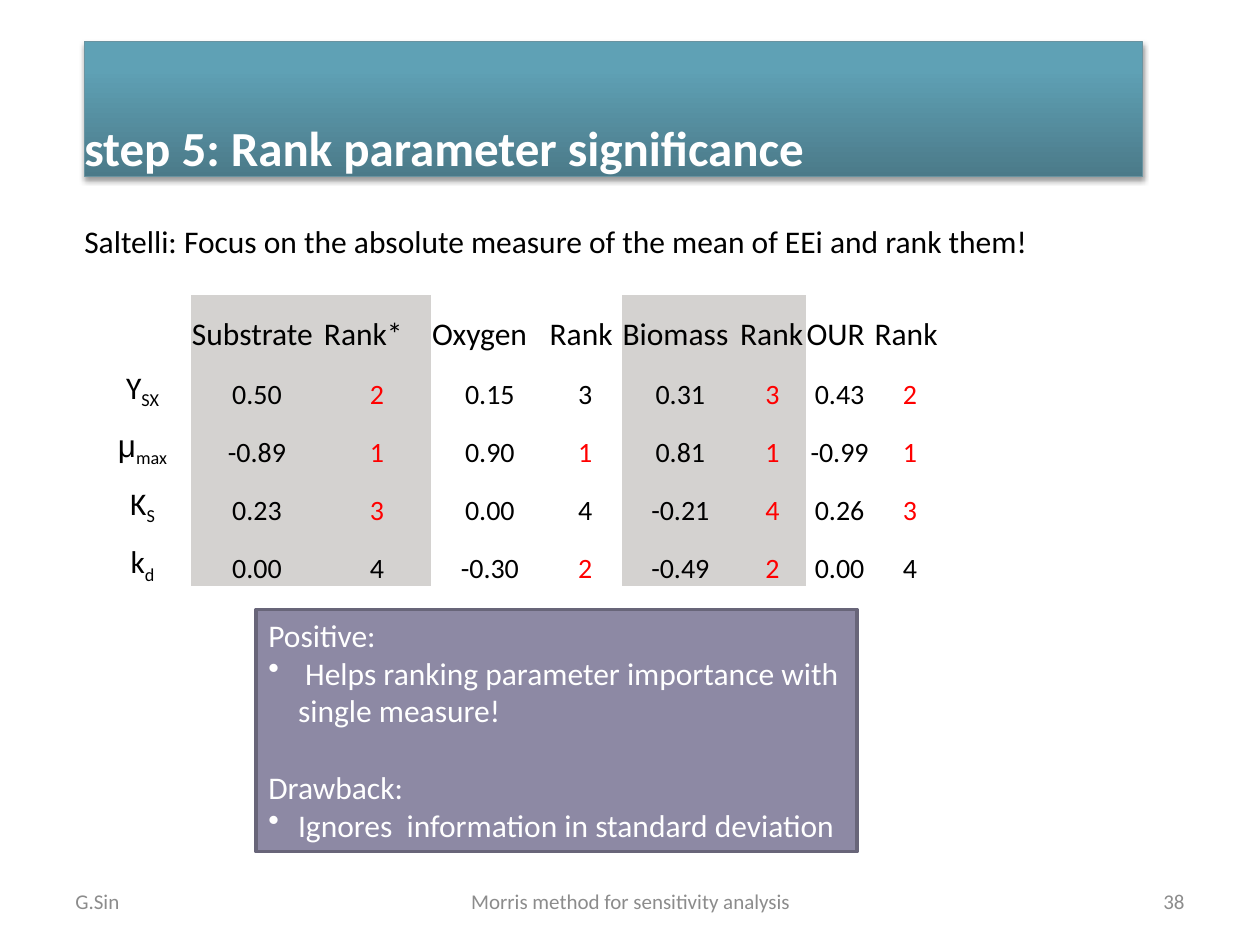
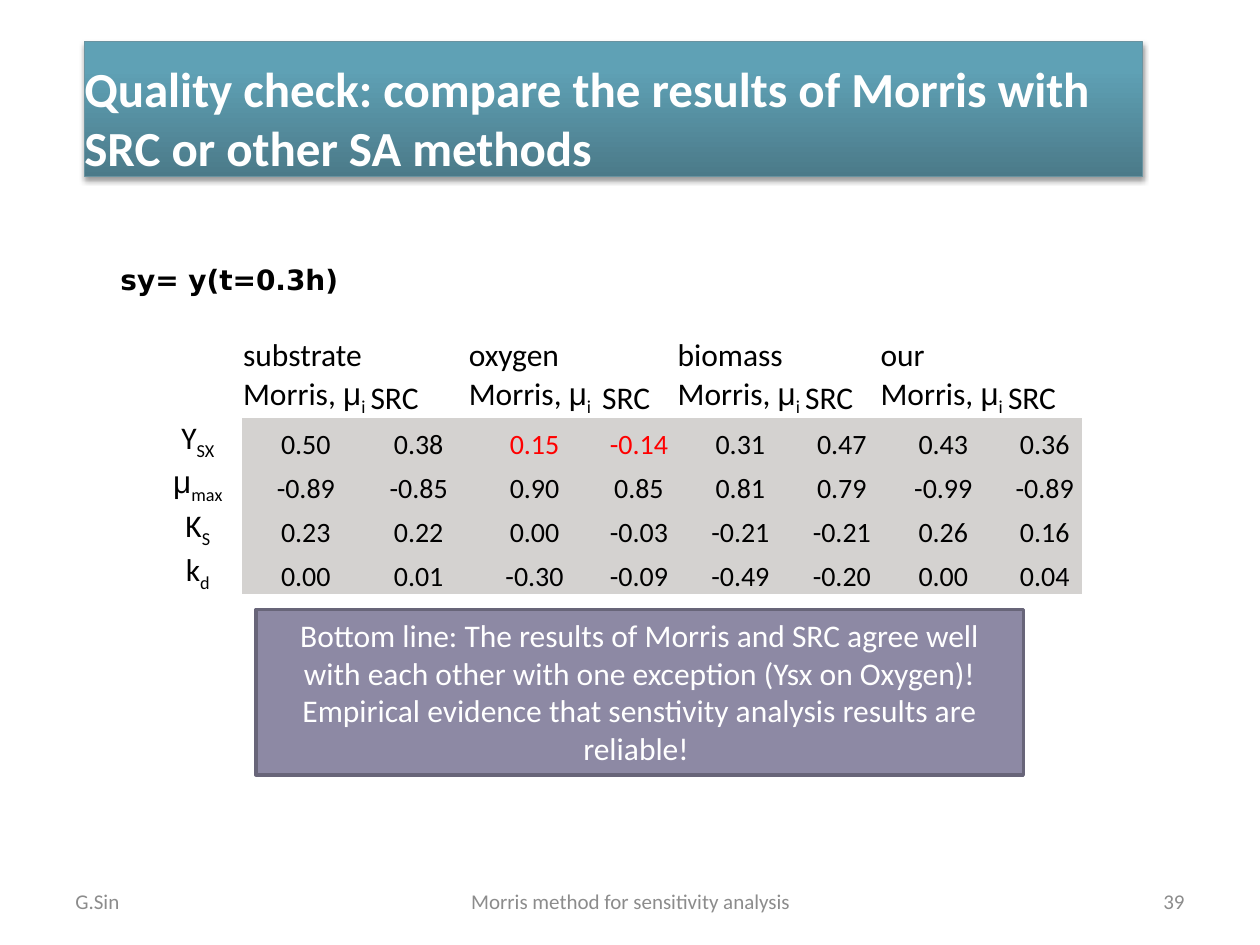
from lxml.etree import SubElement as Sub
from pptx import Presentation
from pptx.dml.color import RGBColor as RGB
from pptx.enum.shapes import MSO_SHAPE as Form
from pptx.enum.text import MSO_ANCHOR as Anchor, PP_ALIGN as Align
from pptx.oxml.ns import qn
from pptx.util import Cm, Pt

WHITE = RGB(0xFF, 0xFF, 0xFF)
BLACK = RGB(0, 0, 0)
RED = RGB(0xFF, 0, 0)
GREY = RGB(0xD4, 0xD2, 0xD0)
FAINT = RGB(0x8C, 0x8C, 0x8C)
TEAL = RGB(0x5F, 0xA1, 0xB5)
DEEP = RGB(0x4B, 0x7A, 0x89)
EDGE = RGB(0x6A, 0x93, 0xA0)
MAUVE = RGB(0x8D, 0x89, 0xA4)
PLUM = RGB(0x68, 0x65, 0x79)
FONT = "Calibri"
GREEK = "Arial"
MONO = "DejaVu Sans"
PLAIN = "{2D5ABB26-0587-4C30-8999-92F81FD0307C}"
LABELS = ["Y_SX ", "μ_max ", "K_S ", "k_d "]

RANKS = [
    ["", "Substrate", "Rank*", "Oxygen", "Rank", "Biomass", "Rank", "OUR", "Rank"],
    ["0.50", "2!", "0.15", "3", "0.31", "3!", "0.43", "2!"],
    ["-0.89", "1!", "0.90", "1!", "0.81", "1!", "-0.99", "1!"],
    ["0.23", "3!", "0.00", "4", "-0.21", "4!", "0.26", "3!"],
    ["0.00", "4", "-0.30", "2!", "-0.49", "2!", "0.00", "4"],
]
CHECKS = [
    ["", "substrate", "", "oxygen", "", "biomass", "", "our", ""],
    [""] + ["Morris, μ_i", "SRC"] * 4,
    ["0.50", "0.38", "0.15!", "-0.14!", "0.31", "0.47", "0.43", "0.36"],
    ["-0.89", "-0.85", "0.90", "0.85", "0.81", "0.79", "-0.99", "-0.89"],
    ["0.23", "0.22", "0.00", "-0.03", "-0.21", "-0.21", "0.26", "0.16"],
    ["0.00", "0.01", "-0.30", "-0.09", "-0.49", "-0.20", "0.00", "0.04"],
]


def style(para, size, color, align=Align.LEFT, bold=False, face=FONT):
    font = para.font
    font.size, font.bold, font.name = Pt(size), bold, face
    font.color.rgb = color
    para.alignment = align


def inset(item, left, top, right, base):
    item.margin_left, item.margin_top = Cm(left), Cm(top)
    item.margin_right, item.margin_bottom = Cm(right), Cm(base)


def add_text(slide, box, text, size, color, align=Align.LEFT, anchor=Anchor.TOP,
             bold=False, face=FONT, wrap=True):
    frame = slide.shapes.add_textbox(*map(Cm, box)).text_frame
    frame.word_wrap, frame.vertical_anchor = wrap, anchor
    para = frame.paragraphs[0]
    para.text = text
    style(para, size, color, align, bold, face)
    return frame


def add_rect(slide, box, line, width):
    rect = slide.shapes.add_shape(Form.RECTANGLE, *map(Cm, box))
    rect.shadow.inherit = False
    rect.line.color.rgb, rect.line.width = line, Pt(width)
    rect.text_frame.word_wrap = True
    return rect


def add_title(slide, text):
    band = add_rect(slide, (1.7, 0.84, 21.34, 2.72), EDGE, 0.75)
    band.fill.gradient()
    band.fill.gradient_angle = 270
    for stop, color, place in zip(band.fill.gradient_stops, (TEAL, DEEP), (0.2, 1)):
        stop.color.rgb, stop.position = color, place
    glow = band._element.spPr.find(qn("a:effectLst"))
    shade = Sub(glow, qn("a:outerShdw"), blurRad="40000", dist="23000",
                dir="5400000", rotWithShape="0")
    tint = Sub(shade, qn("a:srgbClr"), val="000000")
    Sub(tint, qn("a:alpha"), val="40000")
    frame = band.text_frame
    inset(frame, 0, 0, 0, 0)
    frame.vertical_anchor = Anchor.BOTTOM
    frame.text = text
    style(frame.paragraphs[0], 28, WHITE, bold=True)


def add_foot(slide, page):
    for left, width, text, align in (
        (1.27, 5.92, "G.Sin", Align.LEFT),
        (8.69, 8.05, "Morris method for sensitivity analysis", Align.CENTER),
        (18.21, 5.92, str(page), Align.RIGHT),
    ):
        add_text(slide, (left, 17.65, width, 1.02), text, 12, FAINT, align,
                 Anchor.MIDDLE)


def add_runs(para, text):
    head, _, low = text.partition("_")
    lead, greek, _ = head.partition("μ")
    for part, face in ((lead, None), (greek, GREEK), (low, None)):
        if part:
            run = para.add_run()
            run.text = part
            if face:
                run.font.name = face
            if part is low:
                run._r.get_or_add_rPr().set("baseline", "-25000")


def add_grid(slide, spot, rows, heads, widths, heights, shaded):
    rows = rows[:heads] + [[name] + row for name, row in zip(LABELS, rows[heads:])]
    size = map(Cm, (*spot, sum(widths), sum(heights)))
    table = slide.shapes.add_table(len(rows), len(widths), *size).table
    table.first_row = table.horz_banding = False
    table._tbl.tblPr[0].text = PLAIN
    for col, width in zip(table.columns, widths):
        col.width = Cm(width)
    for line, height in zip(table.rows, heights):
        line.height = Cm(height)
    for r, row in enumerate(rows):
        for c, text in enumerate(row):
            cell = table.cell(r, c)
            inset(cell, 0.02, 0.02, 0.02, 0)
            cell.vertical_anchor = Anchor.BOTTOM
            cell.fill.solid()
            cell.fill.fore_color.rgb = GREY if shaded(r, c) else WHITE
            para = cell.text_frame.paragraphs[0]
            add_runs(para, text.rstrip("!"))
            style(para, 16 if r >= heads and c else 18,
                  RED if text.endswith("!") else BLACK,
                  Align.LEFT if r < heads else Align.CENTER)
    return table


def add_note(slide, width, height, lines, align=Align.LEFT):
    note = add_rect(slide, (5.16, 12.29, width, height), PLUM, 2)
    note.fill.solid()
    note.fill.fore_color.rgb = MAUVE
    frame = note.text_frame
    frame.vertical_anchor = Anchor.TOP
    for i, (text, dot, gap) in enumerate(lines):
        para = frame.add_paragraph() if i else frame.paragraphs[0]
        para.text = text
        style(para, 18, WHITE, align)
        para.space_before = Pt(gap)
        if dot:
            props = para._p.get_or_add_pPr()
            props.set("marL", str(Cm(0.6)))
            props.set("indent", str(-Cm(0.6)))
            mark = props.makeelement(qn("a:buChar"), {"char": "•"})
            props.find(qn("a:defRPr")).addprevious(mark)


def add_page(deck, title, page):
    slide = deck.slides.add_slide(deck.slide_layouts[6])
    add_title(slide, title)
    add_foot(slide, page)
    return slide


def rank_page(deck):
    slide = add_page(deck, "step 5: Rank parameter significance", 38)
    frame = add_text(
        slide, (1.7, 4.48, 21.59, 0.9),
        "Saltelli: Focus on the absolute measure of the mean of EEi and rank them!",
        18, BLACK)
    inset(frame, 0, 0, 0, 0)
    add_grid(slide, (1.98, 5.94), RANKS, 1,
             [1.87, 2.66, 2.18, 2.37, 1.47, 2.37, 1.34, 1.37, 1.47],
             [1.19] + [1.17] * 4, lambda r, c: c in (1, 2, 5, 6))
    add_note(slide, 12.12, 4.88, [
        ("Positive:", False, 0),
        (" Helps ranking parameter importance with single measure!", True, 0),
        ("Drawback:", False, 22),
        ("Ignores  information in standard deviation", True, 0),
    ])


def check_page(deck):
    slide = add_page(
        deck, "Quality check: compare the results of Morris with SRC or other SA methods",
        39)
    table = add_grid(slide, (3.18, 6.76), CHECKS, 2,
                     [1.7, 2.57, 1.98, 2.69, 1.52] + [2.57, 1.52] * 2,
                     [0.69] * 2 + [0.74] * 4, lambda r, c: r > 1 and c > 0)
    for c in range(1, 9, 2):
        table.cell(0, c).merge(table.cell(0, c + 1))
    add_text(slide, (2.18, 5.16, 5.28, 0.94), "sy= y(t=0.3h)", 16, BLACK,
             bold=True, face=MONO, wrap=False)
    add_note(slide, 15.47, 3.33, [(
        "Bottom line: The results of Morris and SRC agree well with each other "
        "with one exception (Ysx on Oxygen)! Empirical evidence that senstivity "
        "analysis results are reliable! ", False, 0)], Align.CENTER)


def main():
    deck = Presentation()
    deck.slide_width, deck.slide_height = Cm(25.4), Cm(19.05)
    rank_page(deck)
    check_page(deck)
    deck.save("out.pptx")


if __name__ == "__main__":
    main()
